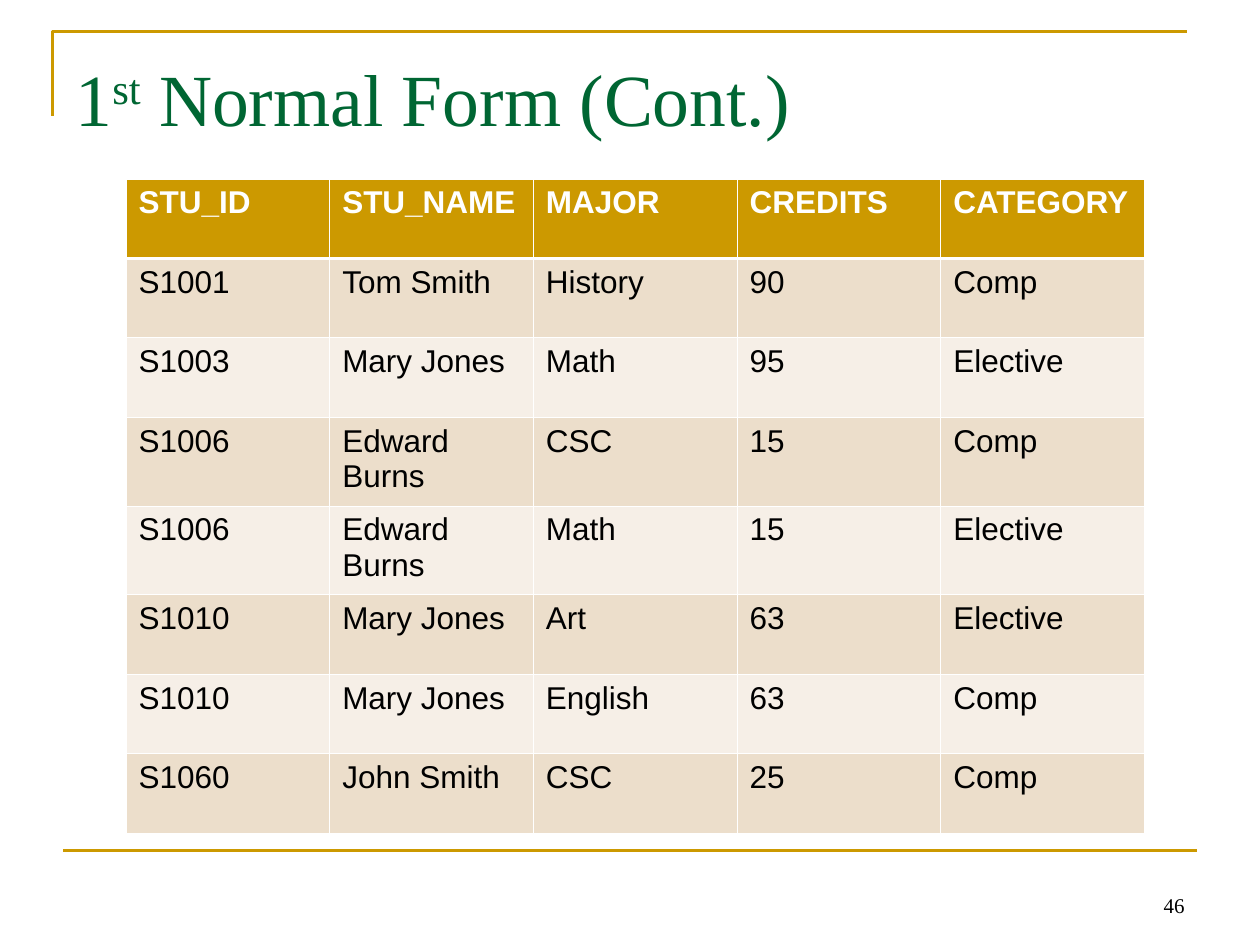
from lxml import etree
from pptx import Presentation
from pptx.dml.color import RGBColor
from pptx.enum.shapes import MSO_CONNECTOR
from pptx.enum.text import MSO_ANCHOR, MSO_AUTO_SIZE, PP_ALIGN
from pptx.oxml.ns import qn
from pptx.util import Cm, Pt

STRAIGHT = MSO_CONNECTOR.STRAIGHT
TOP, BOTTOM = MSO_ANCHOR.TOP, MSO_ANCHOR.BOTTOM
NO_FIT = MSO_AUTO_SIZE.NONE
LEFT, RIGHT = PP_ALIGN.LEFT, PP_ALIGN.RIGHT

GOLD, GREEN, BLACK, WHITE = "CC9900", "006633", "000000", "FFFFFF"
BANDS = ("F6EFE7", "ECDECB")
SERIF, SANS = "Times New Roman", "Arial"
THIN, THICK = Pt(0.45), Pt(1.47)

STUDENTS = [
    ("STU_ID", "STU_NAME", "MAJOR", "CREDITS", "CATEGORY"),
    ("S1001", "Tom Smith", "History", "90", "Comp"),
    ("S1003", "Mary Jones", "Math", "95", "Elective"),
    ("S1006", "Edward Burns", "CSC", "15", "Comp"),
    ("S1006", "Edward Burns", "Math", "15", "Elective"),
    ("S1010", "Mary Jones", "Art", "63", "Elective"),
    ("S1010", "Mary Jones", "English", "63", "Comp"),
    ("S1060", "John Smith", "CSC", "25", "Comp"),
]


def color(hex_code):
    """Turn a hex string into a colour."""
    return RGBColor.from_string(hex_code)


def style_font(font, name, size, hex_code, bold=False):
    """Set the face, size, colour and weight of a font."""
    font.name, font.size, font.bold = name, Pt(size), bold
    font.color.rgb = color(hex_code)


def style_rule(line):
    """Give a decorative rule its gold stroke."""
    line.color.rgb = color(GOLD)
    line.width = Pt(1.5)


def add_corner(slide):
    """Draw the open corner above and left of the title."""
    left, top = Cm(1.06), Cm(0.64)
    outline = slide.shapes.build_freeform(left, Cm(2.33))
    outline.add_line_segments([(left, top), (Cm(23.92), top)], close=False)
    corner = outline.convert_to_shape()
    corner.shadow.inherit = False
    corner.fill.background()
    style_rule(corner.line)


def add_bottom_rule(slide):
    """Draw the rule below the table."""
    y = Cm(17.15)
    rule = slide.shapes.add_connector(STRAIGHT, Cm(1.27), y, Cm(24.13), y)
    style_rule(rule.line)
    etree.SubElement(rule.line._get_or_add_ln().getparent(), qn("a:effectLst"))


def fill_title(title):
    """Place the title and raise its ordinal suffix."""
    title.left, title.top = Cm(1.27), Cm(0.76)
    title.width, title.height = Cm(22.86), Cm(3.18)
    frame = title.text_frame
    frame.auto_size, frame.vertical_anchor = NO_FIT, TOP
    frame.margin_top = Cm(0.3)
    heading = frame.paragraphs[0]
    heading.alignment = LEFT
    for part, baseline in (("1", 0), ("st", 30000), (" Normal Form (Cont.)", 0)):
        run = heading.add_run()
        run.text = part
        style_font(run.font, SERIF, 42, GREEN)
        if baseline:
            run._r.get_or_add_rPr().set("baseline", str(baseline))


def add_page_number(slide, number):
    """Write the page number at the lower right."""
    box = slide.shapes.add_textbox(Cm(18.2), Cm(17.36), Cm(5.93), Cm(1.27))
    frame = box.text_frame
    frame.word_wrap, frame.vertical_anchor = True, BOTTOM
    frame.text = number
    frame.paragraphs[0].alignment = RIGHT
    style_font(frame.paragraphs[0].runs[0].font, SERIF, 12, BLACK)


def add_borders(cell, top, bottom):
    """Draw white borders around a cell, ahead of its fill in the XML."""
    properties = cell._tc.get_or_add_tcPr()
    sides = (("lnL", THIN), ("lnR", THIN), ("lnT", top), ("lnB", bottom))
    for position, (side, width) in enumerate(sides):
        border = etree.Element(qn(f"a:{side}"), w=str(int(width)))
        fill = etree.SubElement(border, qn("a:solidFill"))
        etree.SubElement(fill, qn("a:srgbClr"), val=WHITE)
        properties.insert(position, border)


def fill_cell(cell, text, row):
    """Write and format one cell of the student table."""
    header = row == 0
    cell.text = text
    font = cell.text_frame.paragraphs[0].runs[0].font
    style_font(font, SANS, 18, WHITE if header else BLACK, header)
    cell.fill.solid()
    cell.fill.fore_color.rgb = color(GOLD if header else BANDS[row % 2])
    add_borders(cell, THICK if row == 1 else THIN, THICK if header else THIN)


def add_student_table(slide):
    """Build the table of students and their majors."""
    frame = slide.shapes.add_table(len(STUDENTS), len(STUDENTS[0]),
                                   Cm(2.54), Cm(3.61), Cm(20.53), Cm(13.2))
    table = frame.table
    for row, record in enumerate(STUDENTS):
        table.rows[row].height = Cm(1.79 if "Edward Burns" in record else 1.6)
        for column, text in enumerate(record):
            fill_cell(table.cell(row, column), text, row)


def main():
    """Build and save the slide."""
    deck = Presentation()
    deck.slide_width, deck.slide_height = Cm(25.4), Cm(19.05)
    slide = deck.slides.add_slide(deck.slide_layouts[5])
    add_corner(slide)
    add_bottom_rule(slide)
    fill_title(slide.shapes.title)
    add_page_number(slide, "46")
    add_student_table(slide)
    deck.save("out.pptx")


if __name__ == "__main__":
    main()
